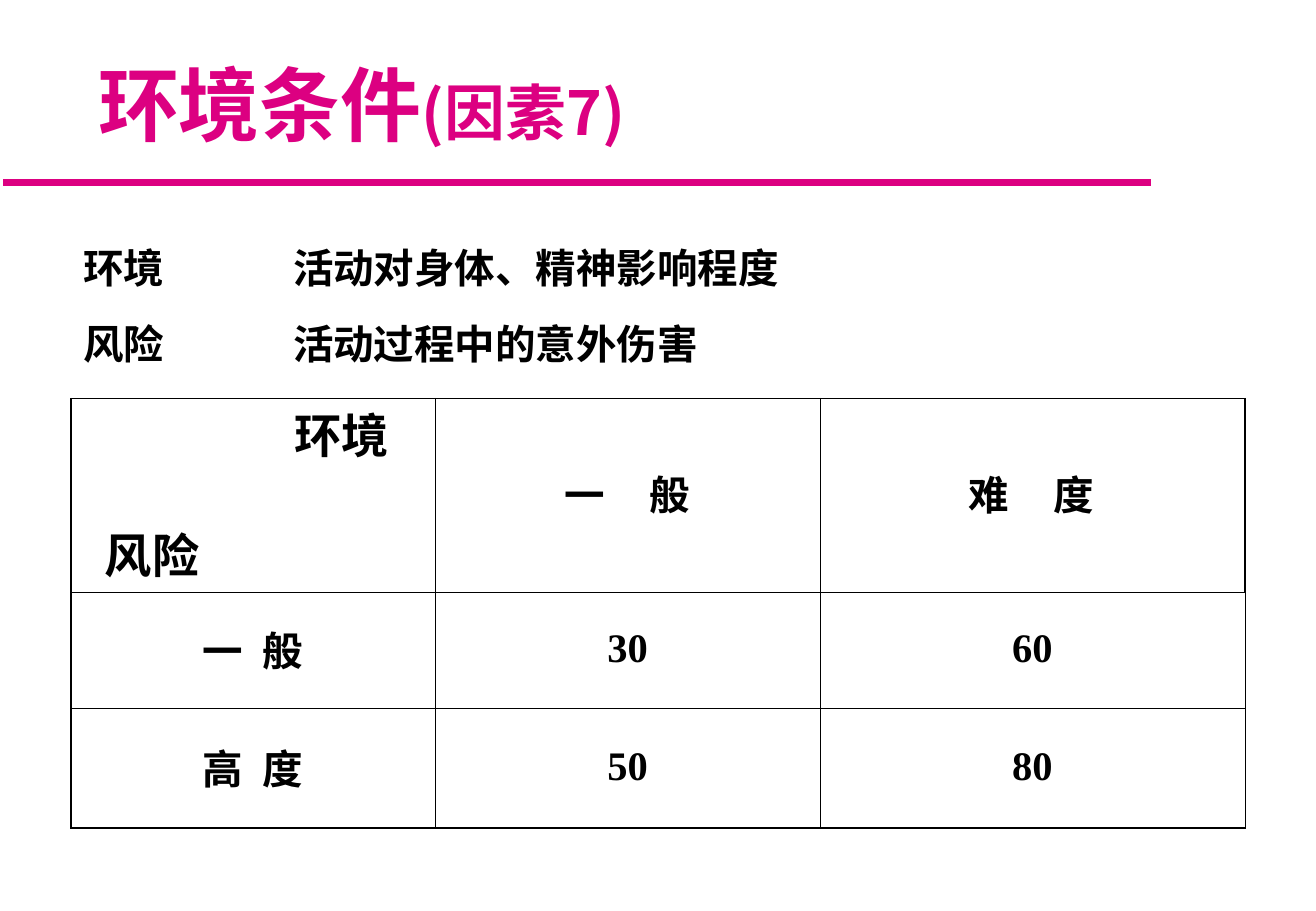
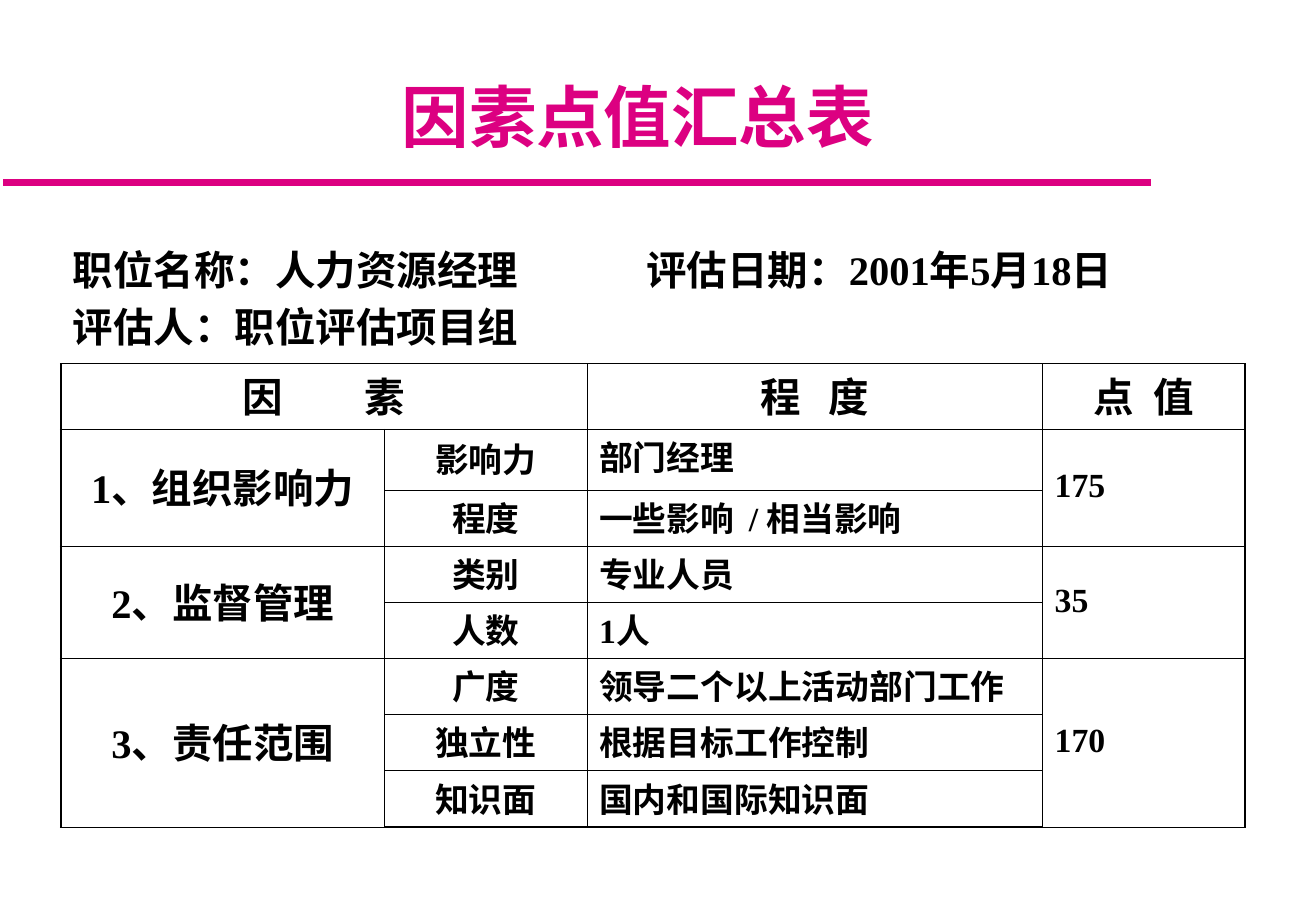
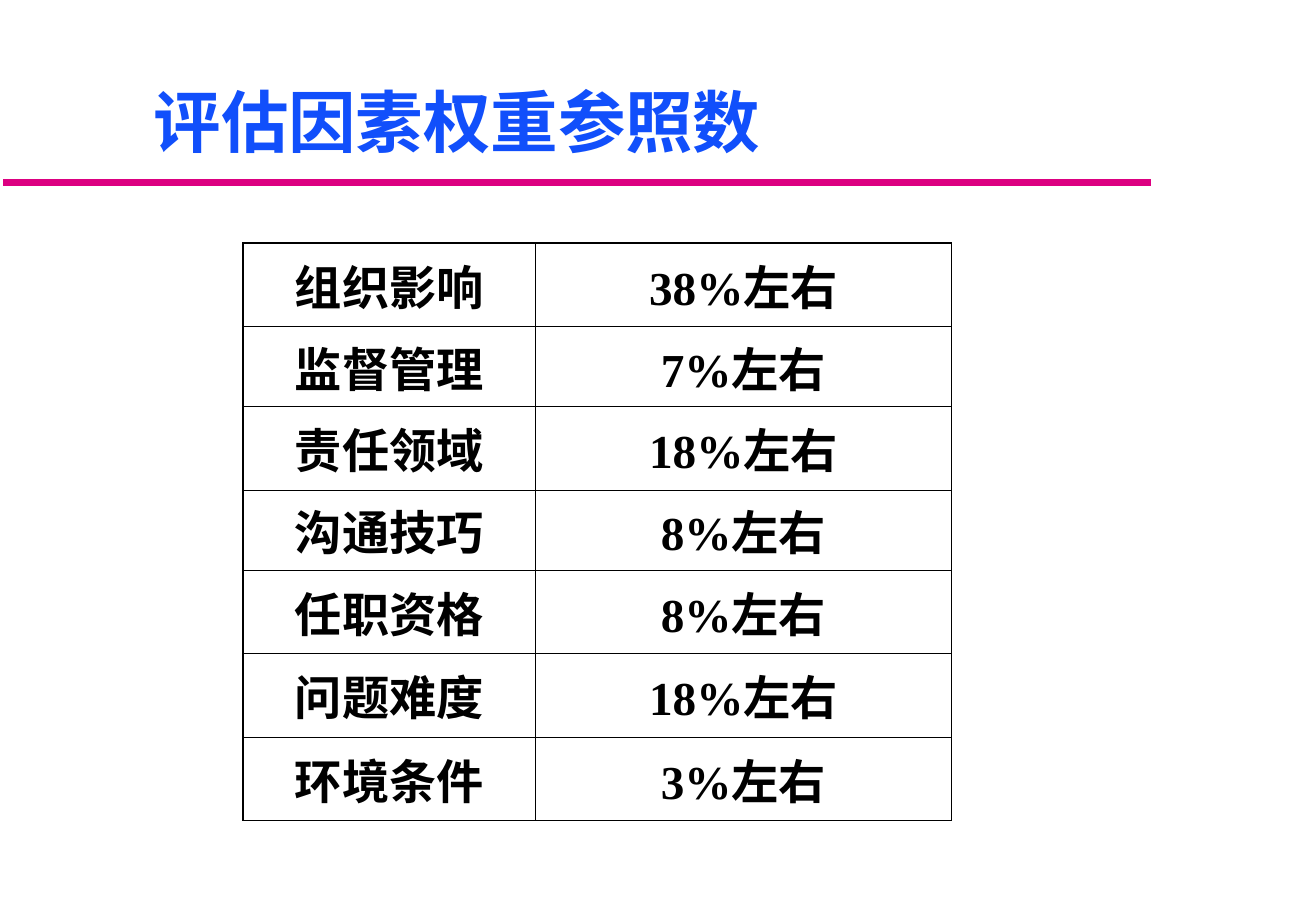
from dataclasses import dataclass

from lxml import etree
from pptx import Presentation
from pptx.dml.color import RGBColor
from pptx.enum.shapes import MSO_CONNECTOR
from pptx.enum.text import MSO_ANCHOR, PP_ALIGN
from pptx.oxml.ns import qn
from pptx.util import Pt

STRAIGHT = MSO_CONNECTOR.STRAIGHT
LEFT, CENTER = PP_ALIGN.LEFT, PP_ALIGN.CENTER
TOP, MIDDLE, BOTTOM = MSO_ANCHOR.TOP, MSO_ANCHOR.MIDDLE, MSO_ANCHOR.BOTTOM


@dataclass(frozen=True)
class Theme:
    magenta: str = "DC0081"
    blue: str = "114FFB"
    black: str = "000000"
    latin: str = "Times New Roman"
    chinese: str = "Noto Sans CJK SC"
    title_large: int = 48
    title: int = 40
    title_note: int = 36
    large: int = 28
    body: int = 24
    small: int = 20
    thick: float = 1.08
    thin: float = 0.45
    inset_x: float = 7.2
    inset_y: float = 3.6


class SlideWriter:
    """Holds the theme and the slide being filled."""

    def __init__(self, deck, theme):
        self.deck = deck
        self.theme = theme
        self.slide = None

    def new_slide(self):
        self.slide = self.deck.slides.add_slide(self.deck.slide_layouts[6])
        rule = self.slide.shapes.add_connector(STRAIGHT, Pt(2), Pt(108), Pt(682.5), Pt(108))
        rule.line.color.rgb = RGBColor.from_string(self.theme.magenta)
        rule.line.width = Pt(4)
        etree.SubElement(rule._element.spPr, qn("a:effectLst"))

    def style_span(self, span, size, color, latin):
        span.font.size = Pt(size)
        span.font.bold = True
        span.font.color.rgb = RGBColor.from_string(color)
        span.font.name = latin
        east_asian = etree.SubElement(span._r.get_or_add_rPr(), qn("a:ea"))
        east_asian.set("typeface", self.theme.chinese)

    def indent(self, para, points):
        para._p.get_or_add_pPr().set("marL", str(Pt(points)))

    def title(self, spans, place, color, align=LEFT, indent=0):
        """Write the title from (text, size) pairs into a box given in points."""
        box = self.slide.shapes.add_textbox(*(Pt(length) for length in place))
        frame = box.text_frame
        frame.word_wrap = True
        frame.vertical_anchor = BOTTOM
        para = frame.paragraphs[0]
        para.alignment = align
        self.indent(para, indent)
        for text, size in spans:
            span = para.add_run()
            span.text = text
            self.style_span(span, size, color, self.theme.chinese)

    def table(self, left, top, widths, heights, intro=False):
        """Add a ruled table; an intro row spans the top and has no outer frame."""
        frame = self.slide.shapes.add_table(
            len(heights), len(widths), Pt(left), Pt(top), Pt(sum(widths)), Pt(sum(heights)))
        table = frame.table
        table.first_row = table.horz_banding = False
        for column, width in zip(table.columns, widths):
            column.width = Pt(width)
        for row, height in zip(table.rows, heights):
            row.height = Pt(height)
        thick, thin = self.theme.thick, self.theme.thin
        last_row, last_column = len(heights) - 1, len(widths) - 1
        for r in range(len(heights)):
            for c in range(len(widths)):
                cell = table.cell(r, c)
                cell.fill.background()
                if intro and r == 0:
                    self.borders(cell, 0, 0, 0, thin)
                else:
                    self.borders(cell,
                                 thick if c == 0 else thin,
                                 thick if c == last_column else thin,
                                 thick if r == 0 else thin,
                                 thick if r == last_row else thin)
        if intro:
            table.cell(0, 0).merge(table.cell(0, last_column))
        return table

    def borders(self, cell, left, right, top, bottom):
        """Set the four line widths of a cell, replacing earlier ones; 0 means none."""
        properties = cell._tc.get_or_add_tcPr()
        widths = {"a:lnL": left, "a:lnR": right, "a:lnT": top, "a:lnB": bottom}
        for position, (tag, width) in enumerate(widths.items()):
            for earlier in properties.findall(qn(tag)):
                properties.remove(earlier)
            line = etree.Element(qn(tag), w=str(Pt(width)))
            if width:
                fill = etree.SubElement(line, qn("a:solidFill"))
                etree.SubElement(fill, qn("a:srgbClr"), val=self.theme.black)
            else:
                etree.SubElement(line, qn("a:noFill"))
            properties.insert(position, line)

    def cell(self, cell, lines, size, align=CENTER, anchor=MIDDLE, spacing=0.9,
             between=3, gap=0, tab=0, indents=()):
        """Write lines; between is the space separating them, gap widens the first space."""
        cell.vertical_anchor = anchor
        cell.margin_left = cell.margin_right = Pt(self.theme.inset_x)
        cell.margin_top = cell.margin_bottom = Pt(self.theme.inset_y)
        frame = cell.text_frame
        for number, text in enumerate(lines):
            para = frame.add_paragraph() if number else frame.paragraphs[0]
            para.alignment = align
            para.line_spacing = spacing
            if number:
                para.space_before = Pt(between)
            if indents:
                self.indent(para, indents[number])
            if tab:
                stops = etree.SubElement(para._p.get_or_add_pPr(), qn("a:tabLst"))
                etree.SubElement(stops, qn("a:tab"), pos=str(Pt(tab)), algn="l")
            for piece in text.partition(" ") if gap else (text,):
                span = para.add_run()
                span.text = piece
                self.style_span(span, size, self.theme.black, self.theme.latin)
                if piece == " ":
                    span._r.get_or_add_rPr().set("spc", str(gap * 100))


def environment_slide(writer):
    theme = writer.theme
    writer.new_slide()
    writer.title([("环境条件", theme.title_large), ("(因素7)", theme.title_note)],
                 (24, 15.6, 708, 78), theme.magenta, indent=27)
    table = writer.table(42, 126, [216, 228, 18, 63, 171], [110, 115, 69, 71], intro=True)
    writer.cell(table.cell(0, 0), ["环境\t活动对身体、精神影响程度", "风险\t活动过程中的意外伤害"],
                theme.body, LEFT, TOP, spacing=1.3, between=0, tab=124.5)
    writer.cell(table.cell(1, 0), ["环境", "风险"], theme.large, LEFT, TOP,
                between=35, indents=(125.5, 13))
    writer.cell(table.cell(1, 1), ["一 般"], theme.body, gap=21)
    writer.cell(table.cell(1, 4), ["难 度"], theme.body, LEFT, gap=21)
    thin = theme.thin
    for column, left, right in ((2, thin, 0), (3, 0, 0), (4, 0, theme.thick)):
        writer.borders(table.cell(1, column), left, right, thin, thin)
    rows = [("一 般", "30", "60"), ("高 度", "50", "80")]
    for r, (risk, *points) in enumerate(rows, 2):
        table.cell(r, 2).merge(table.cell(r, 4))
        writer.cell(table.cell(r, 0), [risk], theme.body, gap=6)
        for column, value in enumerate(points, 1):
            writer.cell(table.cell(r, column), [value], theme.body)


def summary_slide(writer):
    theme = writer.theme
    writer.new_slide()
    writer.title([("因素点值汇总表", theme.title)], (24, 18, 708, 78), theme.magenta, CENTER)
    table = writer.table(36, 138, [192, 120, 270, 120],
                         [77.5, 39, 36] + [33.3] * 6, intro=True)
    writer.cell(table.cell(0, 0),
                ["职位名称：人力资源经理\t评估日期：2001年5月18日", "评估人：职位评估项目组"],
                theme.body, LEFT, tab=340)
    table.cell(1, 0).merge(table.cell(1, 1))
    for column, heading, gap in ((0, "因 素", 43), (2, "程 度", 11), (3, "点 值", 6)):
        writer.cell(table.cell(1, column), [heading], theme.body, gap=gap)
    factors = [
        ("1、组织影响力", "175", [("影响力", "部门经理"), ("程度", "一些影响 / 相当影响")]),
        ("2、监督管理", "35", [("类别", "专业人员"), ("人数", "1人")]),
        ("3、责任范围", "170", [("广度", "领导二个以上活动部门工作"),
                           ("独立性", "根据目标工作控制"), ("知识面", "国内和国际知识面")]),
    ]
    row = 2
    for factor, points, aspects in factors:
        for column in (0, 3):
            table.cell(row, column).merge(table.cell(row + len(aspects) - 1, column))
        writer.cell(table.cell(row, 0), [factor], theme.body)
        writer.cell(table.cell(row, 3), [points], theme.small, LEFT)
        for aspect, degree in aspects:
            writer.cell(table.cell(row, 1), [aspect], theme.small)
            writer.cell(table.cell(row, 2), [degree], theme.small, LEFT, TOP,
                        gap=4 if " " in degree else 0)
            row += 1


def weights_slide(writer):
    theme = writer.theme
    writer.new_slide()
    writer.title([("评估因素权重参照数", theme.title)], (30, 24, 630, 75), theme.blue, indent=54)
    weights = [("组织影响", 38), ("监督管理", 7), ("责任领域", 18), ("沟通技巧", 8),
               ("任职资格", 8), ("问题难度", 18), ("环境条件", 3)]
    table = writer.table(144, 144, [173.5, 246.5], [49.5, 47.5, 49.5, 47.5, 49.5, 49.5, 49.5])
    for row, (factor, percent) in enumerate(weights):
        for column, text in enumerate((factor, f"{percent}%左右")):
            writer.cell(table.cell(row, column), [text], theme.large, spacing=1.0)


def main():
    deck = Presentation()
    deck.slide_width = Pt(780.13)
    deck.slide_height = Pt(540)
    writer = SlideWriter(deck, Theme())
    environment_slide(writer)
    summary_slide(writer)
    weights_slide(writer)
    deck.save("out.pptx")


if __name__ == "__main__":
    main()
